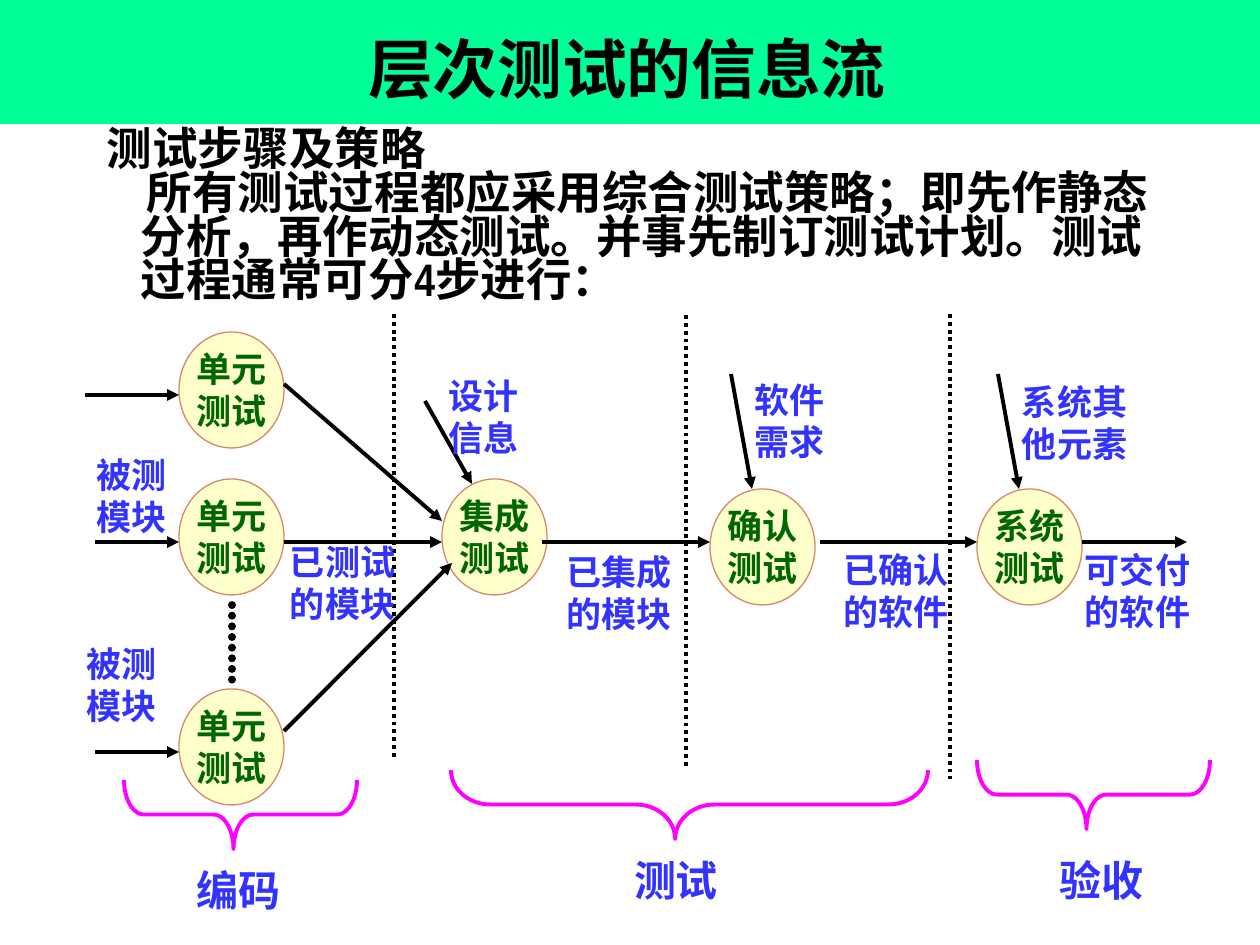
from lxml.etree import SubElement
from pptx import Presentation
from pptx.dml.color import RGBColor
from pptx.enum.dml import MSO_LINE
from pptx.enum.shapes import MSO_CONNECTOR, MSO_SHAPE
from pptx.enum.text import MSO_ANCHOR as Anchor, MSO_AUTO_SIZE, PP_ALIGN as Align
from pptx.oxml.ns import qn
from pptx.util import Emu, Pt

PX = 9144000 / 1260
BLACK = RGBColor(0x00, 0x00, 0x00)
BAND_GREEN = RGBColor(0x00, 0xFF, 0x99)
CREAM = RGBColor(0xFF, 0xFF, 0xCC)
RIM = RGBColor(0xD4, 0x87, 0x6C)
DARK_GREEN = RGBColor(0x00, 0x66, 0x00)
BLUE = RGBColor(0x33, 0x33, 0xFF)
MAGENTA = RGBColor(0xFF, 0x00, 0xFF)


def write(box, lines, size=20, color=BLUE, font="Times New Roman",
          align=Align.LEFT, anchor=Anchor.TOP, wrap=True, inset=(13, 6), spacing=None):
    frame = box.text_frame
    frame.text = "\n".join(lines)
    frame.auto_size = MSO_AUTO_SIZE.NONE
    frame.word_wrap = wrap
    frame.vertical_anchor = anchor
    frame.margin_left = frame.margin_right = Emu(int(inset[0] * PX))
    frame.margin_top = frame.margin_bottom = Emu(int(inset[1] * PX))
    for para in frame.paragraphs:
        para.alignment = align
        para.line_spacing = spacing
        para.font.size = Pt(size)
        para.font.name = font
        para.font.bold = True
        para.font.color.rgb = color


def draw_line(x1, y1, x2, y2, width=2.25):
    """Draw a black line and return its a:ln element with its connector."""
    line = page.shapes.add_connector(
        MSO_CONNECTOR.STRAIGHT, *(Emu(int(v * PX)) for v in (x1, y1, x2, y2)))
    line.line.color.rgb = BLACK
    line.line.width = Pt(width)
    properties = line.element.find(qn("p:spPr"))
    SubElement(properties, qn("a:effectLst"))
    return line, properties.find(qn("a:ln"))


deck = Presentation()
deck.slide_width, deck.slide_height = Emu(int(1260 * PX)), Emu(int(945 * PX))
page = deck.slides.add_slide(deck.slide_layouts[5])
shapes = page.shapes

# Title on its green band
band = shapes.add_shape(MSO_SHAPE.RECTANGLE, 0, 0, deck.slide_width, Emu(int(124 * PX)))
band.shadow.inherit = False
band.fill.solid()
band.fill.fore_color.rgb = BAND_GREEN
band.line.fill.background()
title = shapes.title
title.element.addprevious(band.element)
title.left, title.top, title.width, title.height = (
    Emu(int(v * PX)) for v in (111, 21, 1032, 93))
write(title, ["层次测试的信息流"], size=37, color=BLACK, align=Align.CENTER,
      anchor=Anchor.MIDDLE, inset=(11, 5))

# Introduction
intro = shapes.add_textbox(*(Emu(int(v * PX)) for v in (40, 125, 1135, 199)))
write(intro, ["测试步骤及策略",
              "所有测试过程都应采用综合测试策略；即先作静态分析，再作动态测试。"
              "并事先制订测试计划。测试过程通常可分4步进行："],
      size=26, color=BLACK, font="Arial Narrow", spacing=0.8)
for para, indent in zip(intro.text_frame.paragraphs, (-34, 6)):
    properties = para._p.get_or_add_pPr()
    properties.set("marL", str(int(88 * PX)))
    properties.set("indent", str(int(indent * PX)))

# Test stages
for x, y, stage in [(179, 332, "单元"), (179, 479, "单元"), (179, 689, "单元"),
                    (442, 479, "集成"), (710, 489, "确认"), (977, 489, "系统")]:
    oval = shapes.add_shape(MSO_SHAPE.OVAL, *(Emu(int(v * PX)) for v in (x, y, 105, 116)))
    oval.shadow.inherit = False
    oval.fill.solid()
    oval.fill.fore_color.rgb = CREAM
    oval.line.color.rgb = RIM
    oval.line.width = Pt(0.75)
    write(oval, [stage, "测试"], color=DARK_GREEN, align=Align.CENTER,
          anchor=Anchor.MIDDLE, wrap=False)

# Information flow
for ends in [(85, 395, 179, 395), (95, 542, 179, 542), (95, 752, 179, 752),
             (284, 384, 442, 521), (284, 542, 442, 542), (284, 731, 452, 563),
             (425, 401, 472, 484), (542, 542, 710, 542), (731, 374, 752, 489),
             (820, 542, 977, 542), (998, 374, 1019, 489), (1082, 542, 1187, 542)]:
    arrow, outline = draw_line(*ends)
    SubElement(outline, qn("a:tailEnd"), type="triangle")

# Phase borders
for x, top, bottom in [(394, 314, 757), (686, 315, 769), (950, 314, 779)]:
    border, outline = draw_line(x, top, x, bottom)
    border.line.dash_style = MSO_LINE.ROUND_DOT

# Round dots between the unit tests
dots, outline = draw_line(232, 605, 232, 689, width=4.5)
outline.set("cap", "rnd")
pattern = SubElement(outline, qn("a:custDash"))
SubElement(pattern, qn("a:ds"), d="1000", sp="134000")

# Flow labels
for x, y, width, label in [(84, 447, 116, "被测模块"), (74, 636, 116, "被测模块"),
                           (436, 368, 115, "设计信息"), (277, 534, 158, "已测试的模块"),
                           (553, 544, 147, "已集成的模块"), (742, 372, 126, "软件需求"),
                           (830, 542, 158, "已确认的软件"), (1072, 542, 136, "可交付的软件"),
                           (1009, 374, 158, "系统其他元素")]:
    box = shapes.add_textbox(*(Emu(int(v * PX)) for v in (x, y, width, 97)))
    write(box, [label])

# Phases: braces turned to point down, with names below
DEPTH = 69
for x, y, length, curve, name, name_x, name_y in [
        (124, 780, 233, 0.29, "编码", 184, 859),
        (451, 770, 477, 0.57, "测试", 621, 849),
        (977, 760, 233, 0.29, "验收", 1047, 849)]:
    shift = (length - DEPTH) / 2
    brace = shapes.add_shape(MSO_SHAPE.LEFT_BRACE, *(
        Emu(int(v * PX)) for v in (x + shift, y - shift, DEPTH, length)))
    brace.rotation = 270
    brace.adjustments[0] = curve
    brace.adjustments[1] = 0.47
    brace.shadow.inherit = False
    brace.fill.background()
    brace.line.color.rgb = MAGENTA
    brace.line.width = Pt(2.25)
    box = shapes.add_textbox(*(Emu(int(v * PX)) for v in (name_x, name_y, 108, 63)))
    write(box, [name], size=24, wrap=False)

deck.save("out.pptx")
